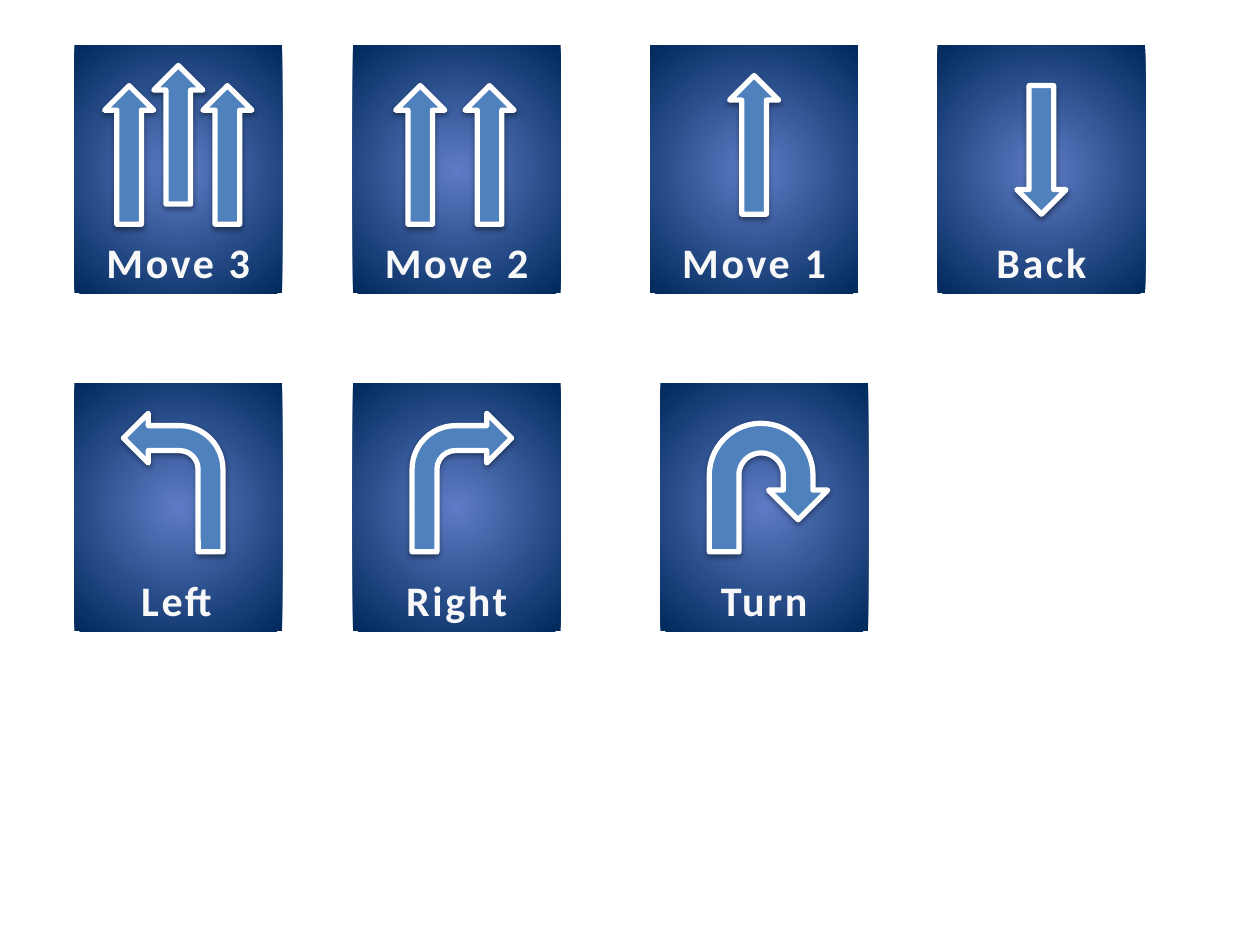
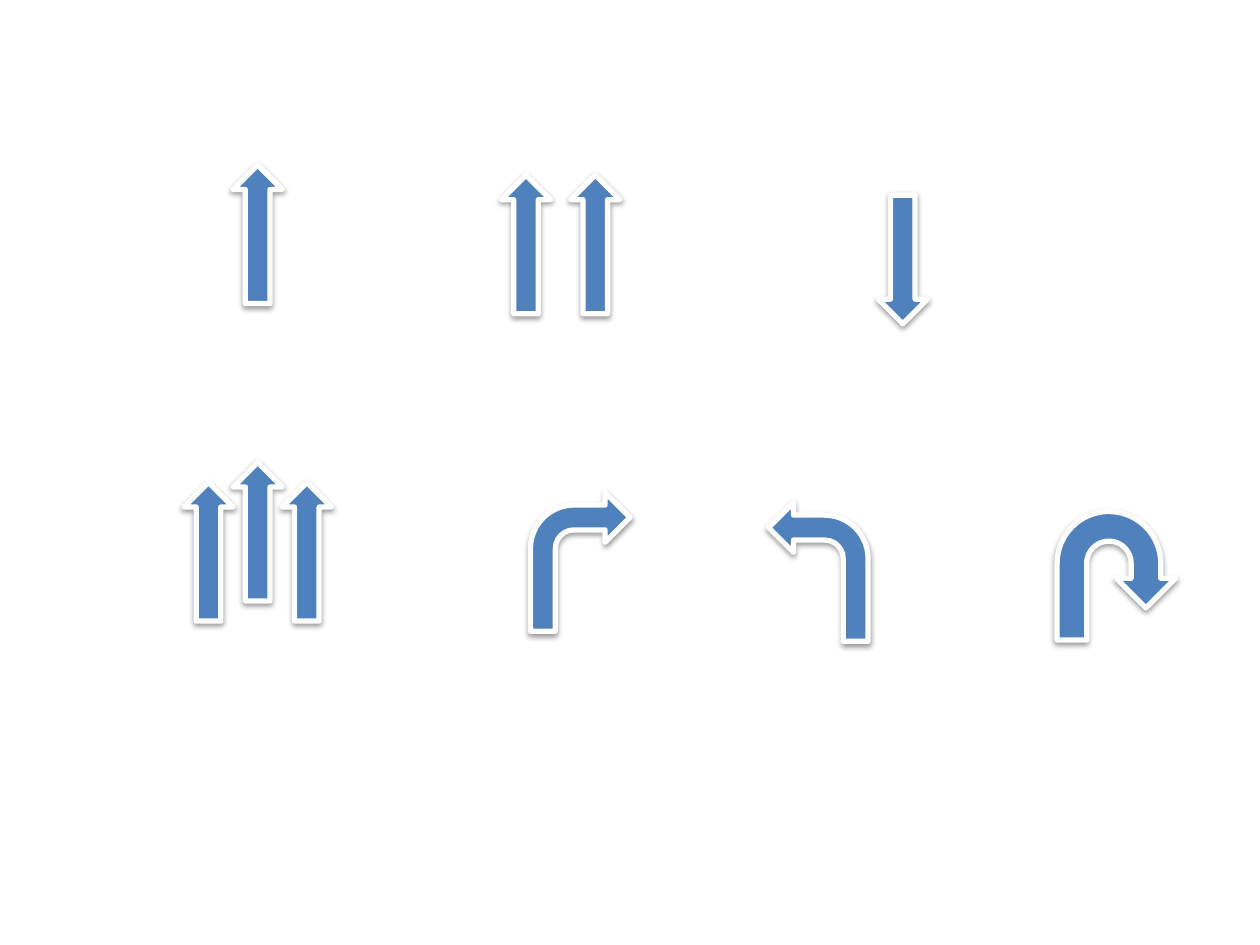
from dataclasses import dataclass

from lxml import etree
from pptx import Presentation
from pptx.dml.color import RGBColor
from pptx.enum.shapes import MSO_SHAPE
from pptx.enum.text import MSO_ANCHOR, PP_ALIGN
from pptx.oxml.ns import qn
from pptx.shapes.autoshape import Shape
from pptx.slide import Slide
from pptx.util import Emu, Pt

# Scale: 100 px to the inch
EMU_PER_PX = 9144
SLIDE_SIZE = (1000, 750)
CARD_SIZE = (165, 197)

# Shared look
CARD_CENTRE = RGBColor(0x5E, 0x7C, 0xC5)
CARD_EDGE = RGBColor(0x00, 0x29, 0x5C)
LABEL_COLOR = RGBColor(0xF8, 0xF8, 0xF8)
ARROW_FILL = RGBColor(0x4F, 0x81, 0xBD)
ARROW_OUTLINE = RGBColor(0xFF, 0xFF, 0xFF)
SHADOW_COLOR = RGBColor(0x00, 0x00, 0x00)
FONT_NAME = "Calibri"

RECTANGLE = MSO_SHAPE.RECTANGLE
UP_ARROW = MSO_SHAPE.UP_ARROW
BENT_ARROW = MSO_SHAPE.BENT_ARROW
U_TURN_ARROW = MSO_SHAPE.U_TURN_ARROW
BOTTOM = MSO_ANCHOR.BOTTOM
CENTER = PP_ALIGN.CENTER


@dataclass(frozen=True)
class Arrow:
    kind: MSO_SHAPE
    width: int
    height: int
    flip: str = ""


@dataclass(frozen=True)
class Sign:
    """A command: its label, its arrow and the offset of each repeat."""
    label: str
    arrow: Arrow
    offsets: tuple[tuple[int, int], ...] = ((0, 0),)


@dataclass(frozen=True)
class Place:
    sign: Sign
    left: int
    top: int


@dataclass(frozen=True)
class Card:
    left: int
    top: int
    place: Place


# The seven commands
FORWARD = Arrow(UP_ARROW, 39, 110)
MOVE_1 = Sign("Move 1", FORWARD)
MOVE_2 = Sign("Move 2", FORWARD, ((0, 0), (55, 0)))
MOVE_3 = Sign("Move 3", FORWARD, ((0, 0), (39, -16), (78, 0)))
BACK = Sign("Back", Arrow(UP_ARROW, 39, 102, "flipV"))
LEFT = Sign("Left", Arrow(BENT_ARROW, 79, 110, "flipH"))
RIGHT = Sign("Right", Arrow(BENT_ARROW, 79, 110))
TURN = Sign("Turn", Arrow(U_TURN_ARROW, 94, 102))

# Slide 1: labelled cards in two rows
ROW_1, ROW_2 = 36, 304
CARDS = (
    Card(59, ROW_1, Place(MOVE_3, 83, 68)),
    Card(280, ROW_1, Place(MOVE_2, 314, 68)),
    Card(516, ROW_1, Place(MOVE_1, 579, 60)),
    Card(744, ROW_1, Place(BACK, 807, 68)),
    Card(59, ROW_2, Place(LEFT, 98, 328)),
    Card(280, ROW_2, Place(RIGHT, 327, 328)),
    Card(524, ROW_2, Place(TURN, 563, 336)),
)

# Slide 2: the arrows alone
LOOSE_SIGNS = (
    Place(MOVE_3, 146, 383),
    Place(RIGHT, 421, 391),
    Place(LEFT, 610, 399),
    Place(TURN, 839, 406),
    Place(MOVE_1, 185, 131),
    Place(MOVE_2, 398, 139),
    Place(BACK, 697, 155),
)


def px(length: int) -> Emu:
    return Emu(length * EMU_PER_PX)


def add_shape(slide: Slide, kind: MSO_SHAPE, left: int, top: int,
              width: int, height: int) -> Shape:
    shape = slide.shapes.add_shape(
        kind, px(left), px(top), px(width), px(height))
    shape.shadow.inherit = False
    return shape


def fill_radial(shape: Shape) -> None:
    shape.fill.gradient()
    for stop, color in zip(shape.fill.gradient_stops, (CARD_CENTRE, CARD_EDGE)):
        stop.color.rgb = color
    gradient = shape._element.spPr.find(qn("a:gradFill"))
    linear = gradient.find(qn("a:lin"))
    circle = etree.Element(qn("a:path"), {"path": "circle"})
    etree.SubElement(circle, qn("a:fillToRect"),
                     dict.fromkeys("ltrb", "50000"))
    gradient.replace(linear, circle)


def add_soft_shadow(shape: Shape) -> None:
    effects = shape._element.spPr.find(qn("a:effectLst"))
    shadow = etree.SubElement(effects, qn("a:outerShdw"), {
        "blurRad": "40000", "dist": "20000", "dir": "5400000",
        "rotWithShape": "0"})
    color = etree.SubElement(shadow, qn("a:srgbClr"), val=str(SHADOW_COLOR))
    etree.SubElement(color, qn("a:alpha"), val="38000")


def draw_sign(slide: Slide, place: Place) -> None:
    arrow = place.sign.arrow
    for across, down in place.sign.offsets:
        shape = add_shape(slide, arrow.kind, place.left + across,
                          place.top + down, arrow.width, arrow.height)
        shape.fill.solid()
        shape.fill.fore_color.rgb = ARROW_FILL
        shape.line.color.rgb = ARROW_OUTLINE
        shape.line.width = Pt(3)
        add_soft_shadow(shape)
        if arrow.flip:
            shape._element.spPr.xfrm.set(arrow.flip, "1")


def draw_card(slide: Slide, card: Card) -> None:
    shape = add_shape(slide, RECTANGLE, card.left, card.top, *CARD_SIZE)
    fill_radial(shape)
    shape.line.fill.background()
    shape.text_frame.vertical_anchor = BOTTOM
    paragraph = shape.text_frame.paragraphs[0]
    paragraph.text = card.place.sign.label
    paragraph.alignment = CENTER
    font = paragraph.font
    font.name, font.size, font.bold = FONT_NAME, Pt(24), True
    font.color.rgb = LABEL_COLOR
    # Letter spacing of 1.5 pt
    paragraph._p.pPr.find(qn("a:defRPr")).set("spc", "150")
    draw_sign(slide, card.place)


def main() -> None:
    presentation = Presentation()
    presentation.slide_width, presentation.slide_height = map(px, SLIDE_SIZE)
    blank = presentation.slide_layouts[6]

    card_slide = presentation.slides.add_slide(blank)
    for card in CARDS:
        draw_card(card_slide, card)

    arrow_slide = presentation.slides.add_slide(blank)
    for place in LOOSE_SIGNS:
        draw_sign(arrow_slide, place)

    presentation.save("out.pptx")


if __name__ == "__main__":
    main()
